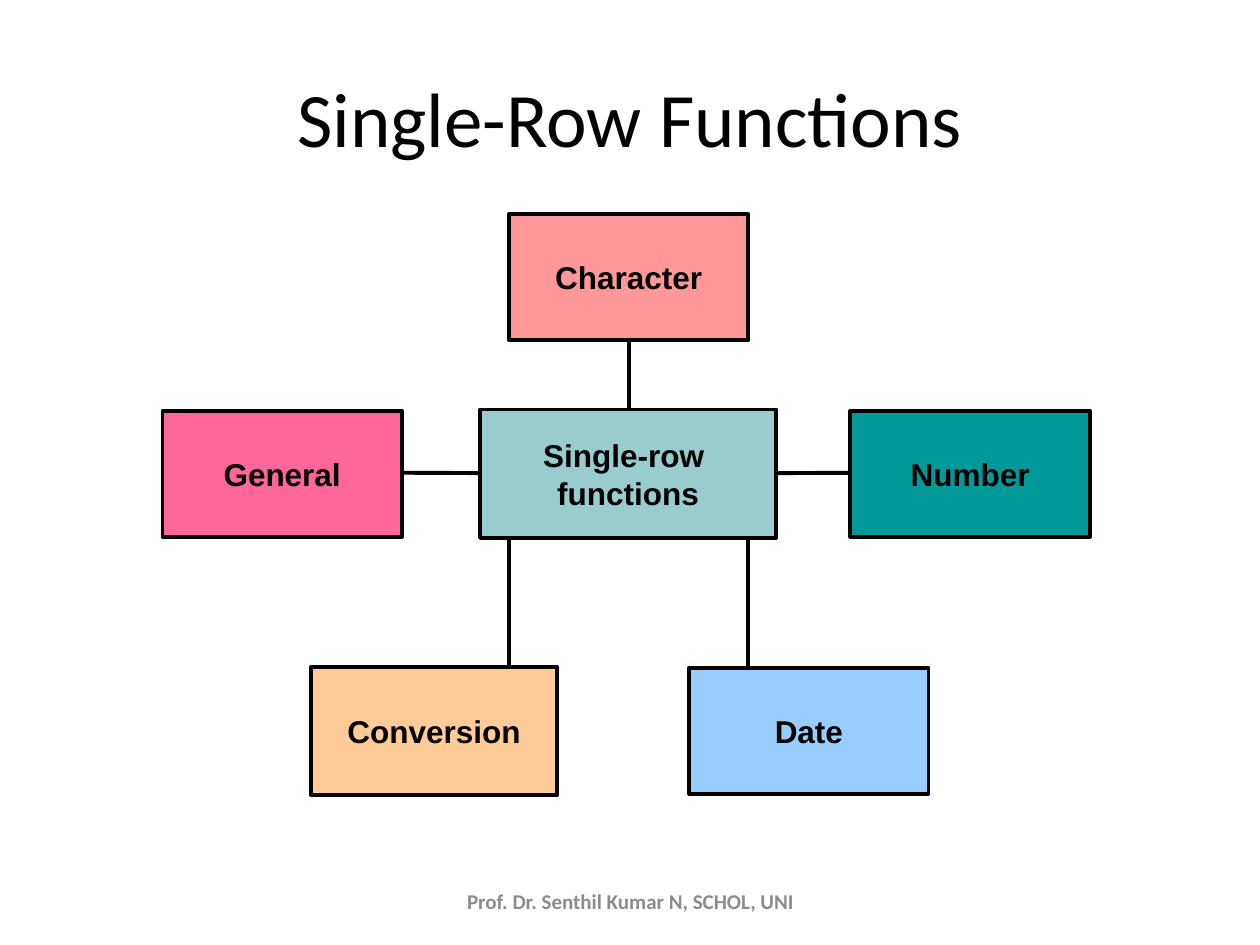
from lxml import etree
from pptx import Presentation
from pptx import util as u
from pptx.dml.color import RGBColor
from pptx.enum import shapes, text
from pptx.oxml import ns

BLACK = RGBColor(0x00, 0x00, 0x00)
GREY = RGBColor(0x8C, 0x8C, 0x8C)
PEACH = RGBColor(0xFF, 0xCC, 0x99)
SALMON = RGBColor(0xFF, 0x99, 0x99)
TEAL = RGBColor(0x00, 0x99, 0x99)
SKY = RGBColor(0x99, 0xCC, 0xFF)
PINK = RGBColor(0xFF, 0x66, 0x99)
SAGE = RGBColor(0x99, 0xCC, 0xCC)

BOX_WIDTH, BOX_HEIGHT = 1.9, 1.0
ROW_TOP = 3.26
CENTRE_X = 4.99
DROP_LEFT, DROP_RIGHT = 4.04, 5.94


class Diagram:
    line_width = u.Pt(2.25)

    def __init__(self, slide):
        self.slide = slide

    def set_text(self, frame, lines, font_name, size, color, bold=False):
        """Fill a text frame with centred paragraphs, one for each line."""
        frame.vertical_anchor = text.MSO_ANCHOR.MIDDLE
        frame.text = "\n".join(lines)
        for paragraph in frame.paragraphs:
            paragraph.alignment = text.PP_ALIGN.CENTER
            font = paragraph.font
            font.name, font.size, font.bold = font_name, u.Pt(size), bold
            font.color.rgb = color

    def title(self, wording):
        shape = self.slide.shapes.title
        shape.left, shape.top = u.Inches(0.5), u.Inches(0.3)
        shape.width, shape.height = u.Inches(9), u.Inches(1.25)
        self.set_text(shape.text_frame, [wording], "Calibri", 44, BLACK)

    def line(self, *ends):
        connector = self.slide.shapes.add_connector(
            shapes.MSO_CONNECTOR.STRAIGHT, *map(u.Inches, ends))
        connector.line.color.rgb = BLACK
        connector.line.width = self.line_width
        properties = connector._element.spPr
        etree.SubElement(properties, ns.qn("a:effectLst"))

    def box(self, lines, fill, left, top, width=BOX_WIDTH, height=BOX_HEIGHT):
        shape = self.slide.shapes.add_shape(
            shapes.MSO_SHAPE.RECTANGLE, *map(u.Inches, (left, top, width, height)))
        shape.shadow.inherit = False
        shape.fill.solid()
        shape.fill.fore_color.rgb = fill
        shape.line.color.rgb = BLACK
        shape.line.width = self.line_width
        shape.text_frame.word_wrap = False
        self.set_text(shape.text_frame, lines, "Arial", 18, BLACK, bold=True)

    def footer(self, wording):
        shape = self.slide.shapes.add_textbox(
            *map(u.Inches, (3.42, 6.95, 3.17, 0.4)))
        shape.text_frame.word_wrap = True
        self.set_text(shape.text_frame, [wording], "Calibri", 12, GREY, bold=True)


def main():
    presentation = Presentation()
    presentation.slide_width = u.Inches(10)
    presentation.slide_height = u.Inches(7.5)
    title_only = presentation.slide_layouts[5]
    diagram = Diagram(presentation.slides.add_slide(title_only))

    diagram.title("Single-Row Functions")

    for x in (DROP_LEFT, DROP_RIGHT):
        diagram.line(x, 4.16, x, 5.31)
    diagram.line(CENTRE_X, 4.02, CENTRE_X, 2.47)
    for x in (2.76, 7.34):
        diagram.line(CENTRE_X, 3.76, x, 3.75)

    diagram.box(["Conversion"], PEACH, 2.47, 5.29, 1.95, 1.02)
    diagram.box(["Character"], SALMON, DROP_LEFT, 1.7)
    diagram.box(["Number"], TEAL, 6.75, ROW_TOP)
    diagram.box(["Date"], SKY, 5.47, 5.3)
    diagram.box(["General"], PINK, 1.29, ROW_TOP)
    diagram.box(["Single-row ", "functions"], SAGE, 3.81, 3.25, 2.35, 1.02)

    diagram.footer("Prof. Dr. Senthil Kumar N, SCHOL, UNI")
    presentation.save("out.pptx")


if __name__ == "__main__":
    main()
